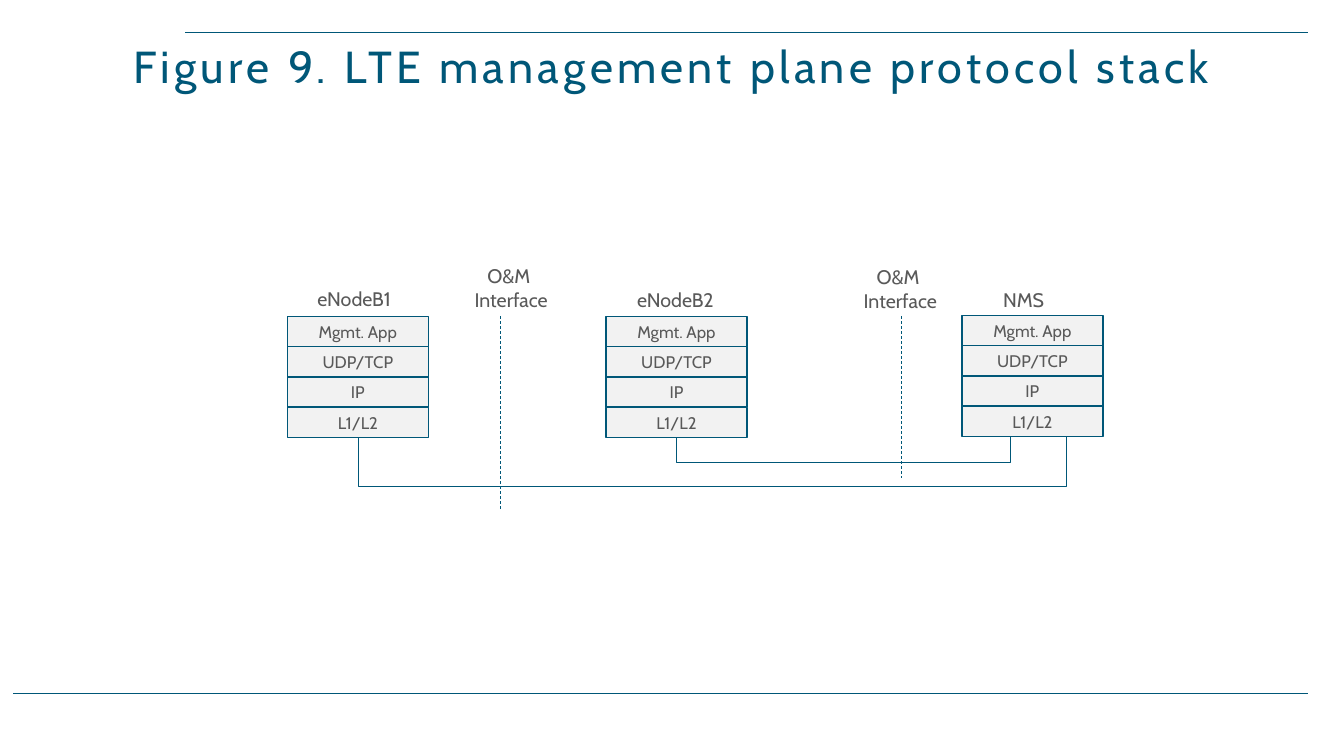
"""Build the LTE management plane protocol stack slide."""
from pptx import Presentation
from pptx.dml.color import RGBColor
from pptx.enum.dml import MSO_LINE
from pptx.enum.shapes import MSO_CONNECTOR, MSO_SHAPE
from pptx.enum.text import MSO_ANCHOR, MSO_AUTO_SIZE, PP_ALIGN
from pptx.oxml.ns import qn
from pptx.util import Inches, Pt
from lxml.etree import SubElement

TITLE = "Figure 9. LTE management plane protocol stack"
LAYERS = ["Mgmt. App", "UDP/TCP", "IP", "L1/L2"]
STACKS = [(2.85, 3.14), (6.01, 3.14), (9.54, 3.13)]
NODE_LABELS = [
    ("eNodeB1", 3.05, 2.8, 1),
    ("eNodeB2", 6.22, 2.81, 1),
    ("NMS", 9.85, 2.81, 0.63),
]
INTERFACE = ["O&M ", "Interface"]
INTERFACE_LABELS = [(4.59, 2.57), (8.45, 2.58)]
INTERFACE_LINES = [(4.96, 5.06), (8.94, 4.74)]
RULES = [(1.84, 0.32), (0.13, 6.88)]
RULE_END = 12.97
LINKS = [(3.55, 10.58, 4.82), (6.71, 10.02, 4.59)]
STACK_TOP, LAYER_W, LAYER_H = 3.14, 1.4, 0.3
STACK_BOTTOM = STACK_TOP + len(LAYERS) * LAYER_H

FONT = "Cabin"
BLUE = RGBColor(0x00, 0x57, 0x78)
GRAY = RGBColor(0x59, 0x59, 0x59)
PALE = RGBColor(0xF2, 0xF2, 0xF2)


def add_run(p, text, size, color):
    r = p.add_run()
    r.text = text
    r.font.name, r.font.size, r.font.color.rgb = FONT, Pt(size), color
    return r


def style_line(s, width):
    s.line.color.rgb = BLUE
    s.line.width = Pt(width)


def add_line(sp, x1, y1, x2, y2, width):
    s = sp.add_connector(MSO_CONNECTOR.STRAIGHT, *map(Inches, (x1, y1, x2, y2)))
    style_line(s, width)
    SubElement(s._element.spPr, qn("a:effectLst"))
    return s


def add_link(sp, x1, x2, y):
    points = [(x1, y), (x2, y), (x2, STACK_BOTTOM)]
    outline = sp.build_freeform(Inches(x1), Inches(STACK_BOTTOM))
    outline.add_line_segments([(Inches(px), Inches(py)) for px, py in points], close=False)
    s = outline.convert_to_shape()
    s.shadow.inherit = False
    s.fill.background()
    style_line(s, 0.5)


def add_layer(sp, text, x, y):
    s = sp.add_shape(MSO_SHAPE.RECTANGLE, *map(Inches, (x, y, LAYER_W, LAYER_H)))
    s.shadow.inherit = False
    s.fill.solid()
    s.fill.fore_color.rgb = PALE
    style_line(s, 1)
    tf = s.text_frame
    tf.vertical_anchor = MSO_ANCHOR.MIDDLE
    p = tf.paragraphs[0]
    p.alignment = PP_ALIGN.CENTER
    add_run(p, text, 12, GRAY)


def add_label(sp, lines, x, y, w, h, align):
    tf = sp.add_textbox(*map(Inches, (x, y, w, h))).text_frame
    tf.word_wrap = False
    tf.auto_size = MSO_AUTO_SIZE.SHAPE_TO_FIT_TEXT
    for i, line in enumerate(lines):
        p = tf.add_paragraph() if i else tf.paragraphs[0]
        p.alignment = align
        add_run(p, line, 14, GRAY)


def add_title(sp):
    tf = sp.add_textbox(0, Inches(0.36), Inches(13.33), Inches(0.6)).text_frame
    tf.word_wrap = True
    tf.vertical_anchor = MSO_ANCHOR.BOTTOM
    p = tf.paragraphs[0]
    p.alignment = PP_ALIGN.CENTER
    p.line_spacing = 0.8
    r = add_run(p, TITLE, 32, BLUE)
    r.font._element.set("spc", "300")


def main():
    prs = Presentation()
    prs.slide_width, prs.slide_height = Inches(13.33), Inches(7.5)
    sp = prs.slides.add_slide(prs.slide_layouts[6]).shapes
    for x, y in RULES:
        add_line(sp, x, y, RULE_END, y, 1)
    add_title(sp)
    for link in LINKS:
        add_link(sp, *link)
    for x, y in STACKS:
        for i, layer in enumerate(LAYERS):
            add_layer(sp, layer, x, y + i * LAYER_H)
    for text, x, y, w in NODE_LABELS:
        add_label(sp, [text], x, y, w, 0.34, PP_ALIGN.LEFT)
    for x, bottom in INTERFACE_LINES:
        add_line(sp, x, STACK_TOP, x, bottom, 0.5).line.dash_style = MSO_LINE.DASH
    for x, y in INTERFACE_LABELS:
        add_label(sp, INTERFACE, x, y, 0.96, 0.57, PP_ALIGN.CENTER)
    prs.save("out.pptx")


if __name__ == "__main__":
    main()
